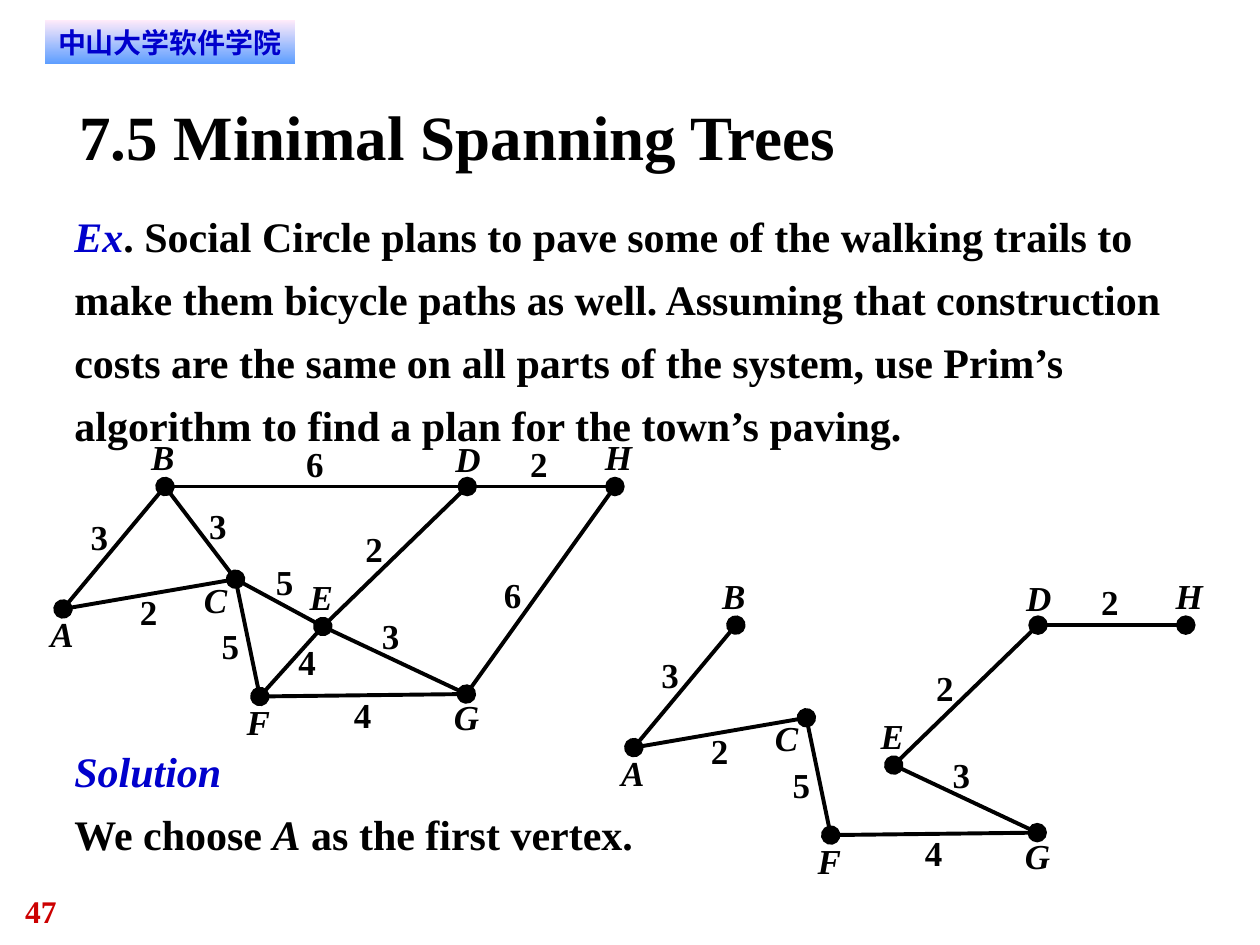
from dataclasses import dataclass
from typing import NamedTuple

from lxml import etree
from pptx import Presentation
from pptx import util as u
from pptx.dml.color import RGBColor
from pptx.enum import shapes as sh, text as tx
from pptx.oxml import ns


@dataclass(frozen=True)
class Theme:
    serif: str = "Times New Roman"
    sans: str = "DejaVu Sans"
    ink: str = "000000"
    accent: str = "0000CC"
    number: str = "CC0000"
    banner_top: str = "FFEBFA"
    banner_bottom: str = "5E9EFF"
    title_size: float = 36
    body_size: float = 24
    label_size: float = 20
    number_size: float = 18
    banner_size: float = 16
    edge_width: float = 2.25
    body_spacing: float = 1.25


class Point(NamedTuple):
    x: float
    y: float


class Box(NamedTuple):
    left: float
    top: float
    width: float
    height: float


class Span(NamedTuple):
    words: str
    color: str
    italic: bool = False


class Vertex(NamedTuple):
    dot: Point
    label: Point


class Edge(NamedTuple):
    start: str
    end: str
    weight: int
    label: Point
    in_tree: bool = False


THEME = Theme()
TREE_SHIFT = Point(326.2, 79.2)

VERTICES = {
    "A": Vertex(Point(36, 348), Point(28.8, 350)),
    "B": Vertex(Point(94.3, 278), Point(86.4, 249)),
    "C": Vertex(Point(134.6, 331), Point(116.6, 330.5)),
    "D": Vertex(Point(267, 278), Point(260.2, 250)),
    "E": Vertex(Point(184.5, 358), Point(177, 329)),
    "F": Vertex(Point(148.5, 398), Point(141, 400.3)),
    "G": Vertex(Point(266.5, 396.6), Point(259.4, 397.5)),
    "H": Vertex(Point(351.4, 278), Point(345.6, 249)),
}

EDGES = [
    Edge("A", "B", 3, Point(51.8, 294.5), True),
    Edge("A", "C", 2, Point(80, 337.7), True),
    Edge("B", "C", 3, Point(119.5, 288)),
    Edge("B", "D", 6, Point(175, 252.7)),
    Edge("D", "H", 2, Point(303, 252.7), True),
    Edge("D", "E", 2, Point(208.8, 301.6), True),
    Edge("G", "H", 6, Point(288, 327.6)),
    Edge("C", "F", 5, Point(126.7, 357), True),
    Edge("C", "E", 5, Point(157.7, 320.4)),
    Edge("E", "F", 4, Point(170.6, 365.8)),
    Edge("F", "G", 4, Point(202.3, 396), True),
    Edge("E", "G", 3, Point(218.2, 351.4), True),
]


def rgb(color: str) -> RGBColor:
    return RGBColor.from_string(color)


def style(font, size: float, color: str, italic: bool = False, face: str = THEME.serif) -> None:
    font.name = face
    font.size = u.Pt(size)
    font.bold = True
    font.italic = italic
    font.color.rgb = rgb(color)


def write(shapes, box: Box, paragraphs: list[list[Span]], size: float,
          wrap: bool = True, spacing: float = 1) -> None:
    frame = shapes.add_textbox(*map(u.Pt, box)).text_frame
    frame.word_wrap = wrap
    frame.margin_left = frame.margin_top = frame.margin_right = frame.margin_bottom = 0
    for index, spans in enumerate(paragraphs):
        paragraph = frame.add_paragraph() if index else frame.paragraphs[0]
        paragraph.line_spacing = spacing
        for span in spans:
            run = paragraph.add_run()
            run.text = span.words
            if len(spans) > 1:
                style(run.font, size, span.color, span.italic)
        if len(spans) == 1:
            style(paragraph.font, size, spans[0].color, spans[0].italic)


def draw_banner(shapes, box: Box, words: str) -> None:
    banner = shapes.add_shape(sh.MSO_SHAPE.RECTANGLE, *map(u.Pt, box))
    banner.shadow.inherit = False
    banner.line.fill.background()
    banner.fill.gradient()
    banner.fill.gradient_angle = 270
    for stop, color in zip(banner.fill.gradient_stops, (THEME.banner_top, THEME.banner_bottom)):
        stop.color.rgb = rgb(color)
    frame = banner.text_frame
    frame.margin_left = frame.margin_right = u.Pt(6)
    frame.margin_top = frame.margin_bottom = u.Pt(3)
    paragraph = frame.paragraphs[0]
    paragraph.text = words
    paragraph.alignment = tx.PP_ALIGN.CENTER
    style(paragraph.font, THEME.banner_size, THEME.accent, face=THEME.sans)


def draw_edge(shapes, start: Point, end: Point, dot_ends: list[str]) -> None:
    trail = shapes.add_connector(sh.MSO_CONNECTOR.STRAIGHT, *map(u.Pt, (*start, *end)))
    trail.line.color.rgb = rgb(THEME.ink)
    trail.line.width = u.Pt(THEME.edge_width)
    properties = trail.element.spPr
    line = properties.find(ns.qn("a:ln"))
    for tag in dot_ends:
        etree.SubElement(line, ns.qn(tag), type="oval", w="lg", len="lg")
    etree.SubElement(properties, ns.qn("a:effectLst"))


def draw_graph(shapes, edges: list[Edge], shift: Point = Point(0, 0)) -> None:
    def place(point: Point) -> Point:
        return Point(point.x + shift.x, point.y + shift.y)

    dotted: set[str] = set()
    for edge in edges:
        ends = {"a:headEnd": edge.start, "a:tailEnd": edge.end}
        dot_ends = [tag for tag, name in ends.items() if name not in dotted]
        dotted.update(ends.values())
        draw_edge(shapes, place(VERTICES[edge.start].dot), place(VERTICES[edge.end].dot), dot_ends)
        write(shapes, Box(*place(edge.label), 10, 24),
              [[Span(str(edge.weight), THEME.ink)]], THEME.label_size, wrap=False)
    for name, vertex in VERTICES.items():
        write(shapes, Box(*place(vertex.label), 14, 24),
              [[Span(name, THEME.ink, True)]], THEME.label_size, wrap=False)


def main() -> None:
    deck = Presentation()
    deck.slide_width, deck.slide_height = u.Pt(720), u.Pt(540)
    shapes = deck.slides.add_slide(deck.slide_layouts[6]).shapes

    write(shapes, Box(14.4, 510, 54, 21.6), [[Span("47", THEME.number)]], THEME.number_size)
    draw_banner(shapes, Box(25.5, 11.5, 143, 25), "中山大学软件学院")
    write(shapes, Box(42.5, 418.9, 350, 69), [
        [Span("Solution", THEME.accent, True)],
        [Span("We choose ", THEME.ink), Span("A", THEME.ink, True),
         Span(" as the first vertex.", THEME.ink)],
    ], THEME.body_size, spacing=THEME.body_spacing)
    write(shapes, Box(45.4, 56, 630, 43.2),
          [[Span("7.5 Minimal Spanning Trees", THEME.ink)]], THEME.title_size)
    write(shapes, Box(42.5, 113, 644.4, 138), [[
        Span("Ex", THEME.accent, True),
        Span(". Social Circle plans to pave some of the walking trails to make them bicycle "
             "paths as well. Assuming that construction costs are the same on all parts of the "
             "system, use Prim’s algorithm to find a plan for the town’s paving.", THEME.ink),
    ]], THEME.body_size, spacing=THEME.body_spacing)

    draw_graph(shapes, [edge for edge in EDGES if edge.in_tree], TREE_SHIFT)
    draw_graph(shapes.add_group_shape().shapes, EDGES)
    deck.save("out.pptx")


if __name__ == "__main__":
    main()
